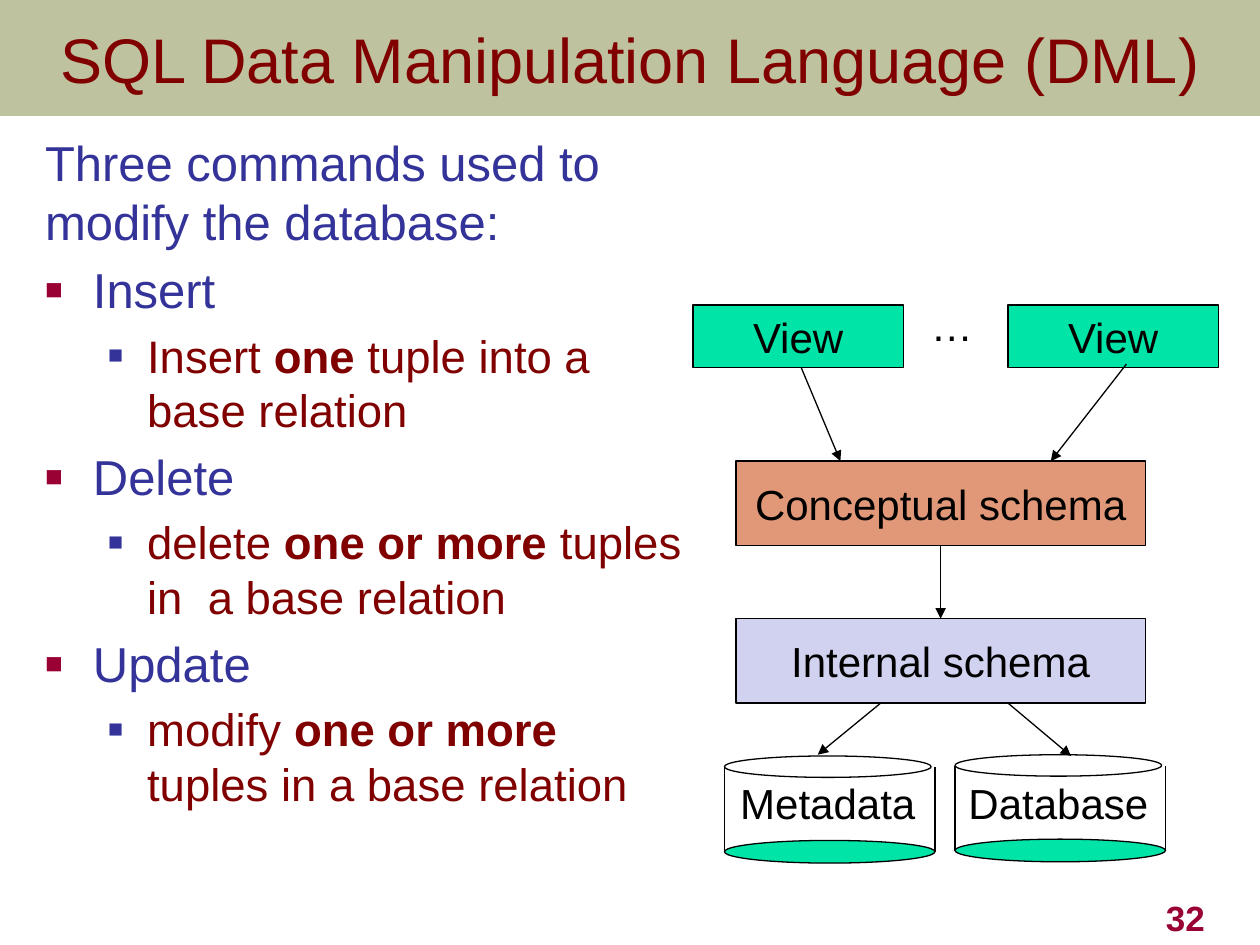
"""Build the slide on the SQL Data Manipulation Language."""
from dataclasses import dataclass

import pptx
import pptx.dml.color
import pptx.enum.shapes
import pptx.enum.text
import pptx.oxml.ns
import pptx.util
from lxml import etree

Inches = pptx.util.Inches
Pt = pptx.util.Pt
Align = pptx.enum.text.PP_ALIGN
Anchor = pptx.enum.text.MSO_ANCHOR
Shape = pptx.enum.shapes.MSO_SHAPE


@dataclass(frozen=True)
class Theme:
    """Colours and type sizes of the slide."""
    font: str = "Arial"
    banner: str = "6E7524"
    banner_opacity: int = 44
    maroon: str = "800000"
    indigo: str = "333399"
    crimson: str = "990033"
    black: str = "000000"
    white: str = "FFFFFF"
    green: str = "00E4A8"
    salmon: str = "E09879"
    lavender: str = "D1D1F0"
    title_size: int = 36
    command_size: int = 28
    detail_size: int = 26
    label_size: int = 24
    number_size: int = 20
    line_width: float = 0.75


THEME = Theme()
COMMANDS = [
    ("Insert", ("Insert ", "one ", "tuple into a base relation")),
    ("Delete", ("delete ", "one or more ", "tuples in  a base relation")),
    ("Update", ("modify ", "one or more ", "tuples in a base relation")),
]


def rgb(colour):
    """Turn a hex string into a colour value."""
    return pptx.dml.color.RGBColor.from_string(colour)


def apply(target, formats):
    """Set every attribute named in a dict of format values."""
    for name, value in formats.items():
        setattr(target, name, value)


def add_child(parent, tag, **attributes):
    """Append a drawing element with the given attributes."""
    return etree.SubElement(parent, pptx.oxml.ns.qn(tag), attributes)


def add_run(paragraph, text, size, colour, bold=False):
    """Add one formatted run of text."""
    run = paragraph.add_run()
    run.text = text
    apply(run.font, {"name": THEME.font, "size": Pt(size), "bold": bold})
    run.font.color.rgb = rgb(colour)


def write_label(shape, text, size=THEME.label_size, colour=THEME.black,
                align=Align.CENTER, anchor=Anchor.MIDDLE, wrap=False, bold=False):
    """Write a single line of text in a shape."""
    apply(shape.text_frame, {"word_wrap": wrap, "vertical_anchor": anchor})
    paragraph = shape.text_frame.paragraphs[0]
    paragraph.alignment = align
    add_run(paragraph, text, size, colour, bold)


def add_text(slide, text, left, top, width, height, **formats):
    """Add a text box holding one line."""
    box = slide.shapes.add_textbox(*map(Inches, (left, top, width, height)))
    write_label(box, text, **formats)


def add_filled(slide, kind, left, top, width, height, colour):
    """Add an outlined shape with a plain fill."""
    shape = slide.shapes.add_shape(kind, *map(Inches, (left, top, width, height)))
    shape.shadow.inherit = False
    shape.fill.solid()
    shape.fill.fore_color.rgb = rgb(colour)
    shape.line.color.rgb = rgb(THEME.black)
    shape.line.width = Pt(THEME.line_width)
    return shape


def add_schema_box(slide, text, left, top, width, height, colour):
    """Add a labelled rectangle of the schema diagram."""
    box = add_filled(slide, Shape.RECTANGLE, left, top, width, height, colour)
    write_label(box, text)
    return box


def add_line(slide, start, end, arrow=False):
    """Add a straight line, with an arrowhead at its end if wanted."""
    line = slide.shapes.add_connector(
        pptx.enum.shapes.MSO_CONNECTOR.STRAIGHT, *map(Inches, (*start, *end)))
    line.line.color.rgb = rgb(THEME.black)
    line.line.width = Pt(THEME.line_width)
    if arrow:
        add_child(line.line._get_or_add_ln(), "a:tailEnd", type="triangle")
    add_child(line._element.spPr, "a:effectLst")
    return line


def add_drum(slide, text, left, top):
    """Add a storage drum made of two ellipses and two sides."""
    width = 1.67
    add_filled(slide, Shape.OVAL, left, top + 0.67, width, 0.18, THEME.green)
    for side in (left, left + width):
        add_line(slide, (side, top + 0.09), (side, top + 0.76))
    add_filled(slide, Shape.OVAL, left, top, 1.64, 0.17, THEME.white)
    add_text(slide, text, left, 6.12, 1.64, 0.5, anchor=Anchor.TOP)


def add_bullet(paragraph, indent, hanging, colour, percent):
    """Give a paragraph a square bullet and a hanging indent."""
    properties = paragraph._p.get_or_add_pPr()
    properties.set("marL", str(Inches(indent)))
    properties.set("indent", str(-Inches(hanging)))
    add_child(add_child(properties, "a:buClr"), "a:srgbClr", val=colour)
    add_child(properties, "a:buSzPct", val=str(percent * 1000))
    add_child(properties, "a:buFont", typeface=THEME.font)
    add_child(properties, "a:buChar", char="■")


def add_title(slide):
    """Place the title on its translucent banner."""
    title = slide.shapes.title
    apply(title, {"left": 0, "top": 0, "width": Inches(10), "height": Inches(0.92)})
    title.fill.solid()
    title.fill.fore_color.rgb = rgb(THEME.banner)
    fill_colour = title._element.spPr.find(".//" + pptx.oxml.ns.qn("a:srgbClr"))
    add_child(fill_colour, "a:alpha", val=str(THEME.banner_opacity * 1000))
    write_label(title, "SQL Data Manipulation Language (DML)",
                THEME.title_size, THEME.maroon, wrap=True)


def add_commands(slide):
    """List the three commands with what each one does."""
    frame = slide.shapes.add_textbox(*map(Inches, (0.26, 1, 5.16, 6.25))).text_frame
    apply(frame, {"word_wrap": True, "margin_right": 0})
    add_run(frame.paragraphs[0], "Three commands used to modify the database:",
            THEME.command_size, THEME.indigo)
    for command, detail in COMMANDS:
        heading = frame.add_paragraph()
        heading.space_before = Pt(5.6)
        add_bullet(heading, 0.38, 0.38, THEME.crimson, 60)
        add_run(heading, command, THEME.command_size, THEME.indigo)
        effect = frame.add_paragraph()
        apply(effect, {"level": 1, "space_before": Pt(5.2)})
        add_bullet(effect, 0.81, 0.31, THEME.indigo, 55)
        for text, bold in zip(detail, (False, True, False)):
            add_run(effect, text, THEME.detail_size, THEME.maroon, bold)


def add_diagram(slide):
    """Draw the path from views through schemas to storage."""
    for left in (5.5, 8):
        add_schema_box(slide, "View", left, 2.42, 1.67, 0.5, THEME.green)
    add_text(slide, "…", 7.29, 2.33, 0.54, 0.5, align=Align.LEFT, anchor=Anchor.TOP)
    conceptual = add_schema_box(
        slide, "Conceptual schema", 5.84, 3.66, 3.25, 0.67, THEME.salmon)
    internal = add_schema_box(
        slide, "Internal schema", 5.84, 4.91, 3.25, 0.67, THEME.lavender)
    for left, top, text in ((7.58, 5.99, "Database"), (5.75, 6, "Metadata")):
        add_drum(slide, text, left, top)
    for start, end in (((6.36, 2.92), (6.67, 3.66)), ((8.94, 2.89), (8.34, 3.66)),
                       ((6.99, 5.58), (6.49, 5.99)), ((8, 5.58), (8.5, 6))):
        add_line(slide, start, end, arrow=True)
    mapping = add_line(slide, (7.47, 4.33), (7.47, 4.91), arrow=True)
    mapping.begin_connect(conceptual, 2)
    mapping.end_connect(internal, 0)


def main():
    """Build and save the slide."""
    deck = pptx.Presentation()
    apply(deck, {"slide_width": Inches(10), "slide_height": Inches(7.5)})
    slide = deck.slides.add_slide(deck.slide_layouts[5])
    add_title(slide)
    add_commands(slide)
    add_diagram(slide)
    add_text(slide, "32", 7.58, 7, 2.08, 0.5, size=THEME.number_size,
             colour=THEME.crimson, align=Align.RIGHT, anchor=Anchor.BOTTOM,
             wrap=True, bold=True)
    deck.save("out.pptx")


if __name__ == "__main__":
    main()
